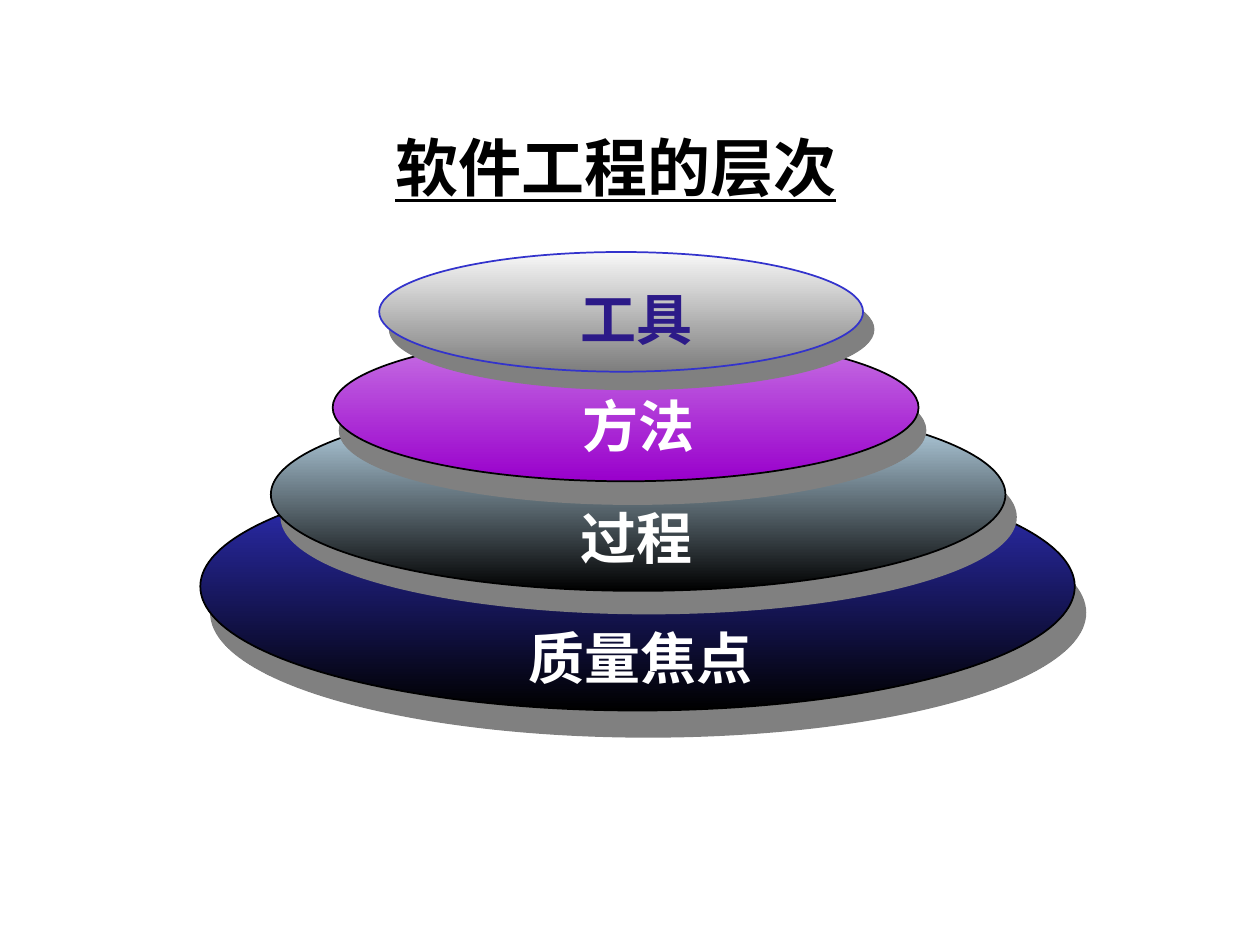
import pptx
import pptx.util
import pptx.dml.color
import pptx.enum.shapes
import pptx.enum.text
import pptx.oxml
import pptx.oxml.ns

Pt = pptx.util.Pt
RGB = pptx.dml.color.RGBColor
TEXT = pptx.enum.text

FONT = "Times New Roman"
BLACK = RGB(0x00, 0x00, 0x00)
WHITE = RGB(0xFF, 0xFF, 0xFF)
BLUE = RGB(0x33, 0x33, 0xCC)
INDIGO = RGB(0x2C, 0x1A, 0x88)
ICE = RGB(0xCC, 0xEC, 0xFF)
LILAC = RGB(0xC9, 0x77, 0xE4)
PURPLE = RGB(0x99, 0x00, 0xCC)
PALE = RGB(0xF8, 0xF8, 0xF8)
GREY = RGB(0x7D, 0x7D, 0x7D)
SHADE = RGB(0x80, 0x80, 0x80)

# Ellipse box, gradient colours, outline, shadow (distance, angle)
DISCS = [
    ((114.5, 264.25, 499.7, 141.8), (BLUE, BLACK), BLACK, (16.2, 68)),
    ((154.8, 227.5, 419.75, 110.15), (ICE, BLACK), BLACK, (14.3, 65)),
    ((190.1, 190.8, 334.8, 84.25), (LILAC, PURPLE), BLACK, (13.6, 73)),
    ((216.7, 144, 276.5, 68.4), (PALE, GREY), BLUE, (11.7, 59)),
]
# Text, box, colour
LABELS = [
    ("工具", (324.7, 159.1, 78.5, 45.4), INDIGO),
    ("方法", (325.4, 220.3, 78.5, 45.4), WHITE),
    ("过程", (324.7, 284.4, 78.5, 45.4), WHITE),
    ("质量焦点", (265.7, 352.8, 200.9, 45.4), WHITE),
]


def place(shape, box):
    shape.left, shape.top, shape.width, shape.height = map(Pt, box)


def write(shape, text, size, color):
    """Put one bold centred line at the top of the shape."""
    frame = shape.text_frame
    frame.text = text
    frame.vertical_anchor = TEXT.MSO_ANCHOR.TOP
    frame.margin_left = frame.margin_right = Pt(7.2)
    frame.margin_top = frame.margin_bottom = Pt(3.6)
    line = frame.paragraphs[0]
    line.alignment = TEXT.PP_ALIGN.CENTER
    font = line.runs[0].font
    font.name, font.size, font.bold = FONT, Pt(size), True
    font.color.rgb = color
    return frame, font


def cast(shape, dist, angle):
    """Give the shape a hard offset shadow."""
    shape.shadow.inherit = False
    effects = shape._element.spPr.find(pptx.oxml.ns.qn("a:effectLst"))
    effects.append(pptx.oxml.parse_xml(
        f'<a:outerShdw {pptx.oxml.ns.nsdecls("a")} blurRad="0" dist="{Pt(dist)}" '
        f'dir="{angle * 60000}" algn="ctr" rotWithShape="0">'
        f'<a:srgbClr val="{SHADE}"/></a:outerShdw>'))


def add_disc(group, box, colors, edge, shadow):
    disc = group.shapes.add_shape(
        pptx.enum.shapes.MSO_SHAPE.OVAL, *map(Pt, box))
    disc.fill.gradient()
    disc.fill.gradient_angle = 270
    for stop, color, pos in zip(disc.fill.gradient_stops, colors, (0, 1)):
        stop.color.rgb = color
        stop.position = pos
    disc.line.color.rgb = edge
    disc.line.width = Pt(1)
    cast(disc, *shadow)


def add_label(group, text, box, color):
    label = group.shapes.add_textbox(*map(Pt, box))
    frame, _ = write(label, text, 32, color)
    frame.word_wrap = False


def add_title(slide, box):
    title = slide.shapes.title
    place(title, box)
    frame, font = write(title, "软件工程的层次", 36, BLACK)
    frame.word_wrap = True
    font.underline = True


def add_stack(slide):
    group = slide.shapes.add_group_shape()
    for disc in DISCS:
        add_disc(group, *disc)
    for label in LABELS:
        add_label(group, *label)


def main():
    deck = pptx.Presentation()
    deck.slide_width, deck.slide_height = Pt(720), Pt(540)
    slide = deck.slides.add_slide(deck.slide_layouts[5])
    add_title(slide, (146.2, 69.8, 411.1, 50.4))
    add_stack(slide)
    deck.save("out.pptx")


if __name__ == "__main__":
    main()
